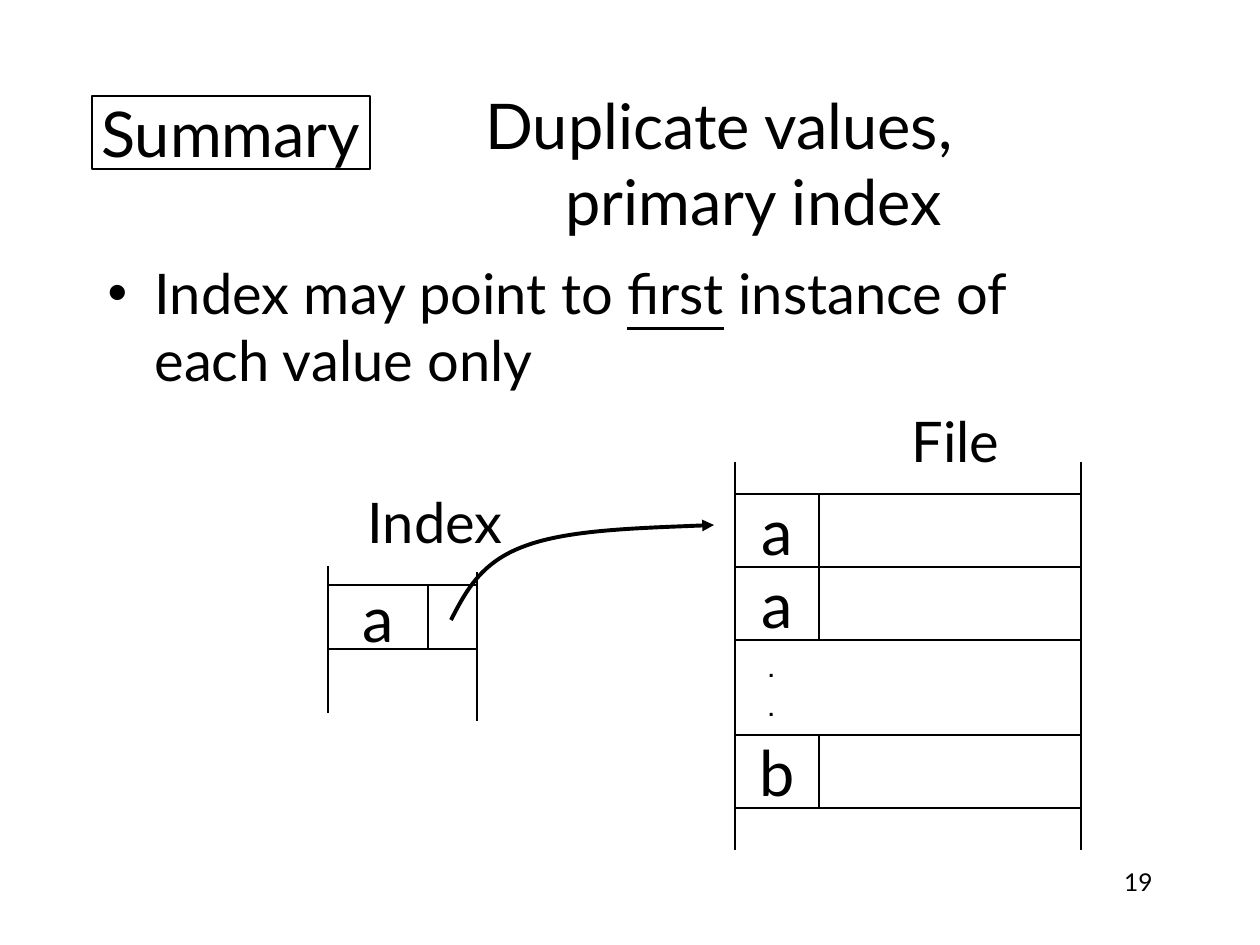
from lxml.etree import SubElement
from pptx import Presentation
from pptx.dml.color import RGBColor
from pptx.enum.shapes import MSO_CONNECTOR, MSO_SHAPE
from pptx.enum.text import MSO_ANCHOR, MSO_AUTO_SIZE, PP_ALIGN
from pptx.oxml.ns import qn
from pptx.util import Emu, Pt

SCALE = 914400 / 126


def px(length):
    return Emu(round(length * SCALE))


def color(value):
    return RGBColor.from_string(value)


class SlideBuilder:
    ink = "000000"
    paper = "FFFFFF"
    font = "Lato"
    thin = 0.75
    thick = 2.25

    def __init__(self, page):
        self.page = page

    def style(self, paragraph, size, font=None, bold=False):
        for span in paragraph.runs:
            span.font.name = font or self.font
            span.font.size = Pt(size)
            span.font.bold = bold
            span.font.color.rgb = color(self.ink)

    def outline(self, item, width):
        item.line.color.rgb = color(self.ink)
        item.line.width = Pt(width)

    def indent(self, paragraph, left, hanging=0, bullet=None):
        properties = paragraph._p.get_or_add_pPr()
        properties.set("marL", str(px(left)))
        properties.set("indent", str(-px(hanging)))
        if bullet:
            SubElement(properties, qn("a:buChar")).set("char", bullet)
        else:
            SubElement(properties, qn("a:buNone"))

    def place(self, holder, left, top, width, height, anchor):
        holder.left, holder.top = px(left), px(top)
        holder.width, holder.height = px(width), px(height)
        frame = holder.text_frame
        frame.auto_size = MSO_AUTO_SIZE.NONE
        frame.vertical_anchor = anchor
        return frame

    def title(self, lines, left, top, width, height):
        frame = self.place(self.page.shapes.title, left, top, width, height, MSO_ANCHOR.MIDDLE)
        frame.text = "\n".join(text for text, _ in lines)
        for paragraph, (_, start) in zip(frame.paragraphs, lines):
            self.indent(paragraph, start)
            paragraph.alignment = PP_ALIGN.LEFT
            paragraph.space_before = Pt(0)
            self.style(paragraph, 36)

    def body(self, statement, labels, left, top, width, height):
        frame = self.place(self.page.placeholders[1], left, top, width, height, MSO_ANCHOR.TOP)
        first = frame.paragraphs[0]
        self.indent(first, 47, 47, "•")
        first.space_before = Pt(0)
        for text, underlined in statement:
            if text == "\n":
                first.add_line_break()
                continue
            span = first.add_run()
            span.text = text
            span.font.underline = underlined
        self.style(first, 32)
        for text, start in labels:
            paragraph = frame.add_paragraph()
            paragraph.text = text
            self.indent(paragraph, start)
            paragraph.space_before = Pt(8)
            self.style(paragraph, 32)

    def text(self, text, left, top, width, height, size, align, font=None, bold=False, gap=0):
        box = self.page.shapes.add_textbox(px(left), px(top), px(width), px(height))
        frame = box.text_frame
        frame.text = text
        for number, paragraph in enumerate(frame.paragraphs):
            paragraph.alignment = align
            paragraph.space_before = Pt(gap if number else 0)
            self.style(paragraph, size, font, bold)
        return frame

    def cell(self, left, top, width, height, text=""):
        shape = self.page.shapes.add_shape(
            MSO_SHAPE.RECTANGLE, px(left), px(top), px(width), px(height))
        shape.shadow.inherit = False
        shape.fill.solid()
        shape.fill.fore_color.rgb = color(self.paper)
        self.outline(shape, self.thin)
        if text:
            frame = shape.text_frame
            frame.text = text
            frame.word_wrap = False
            frame.vertical_anchor = MSO_ANCHOR.MIDDLE
            frame.paragraphs[0].alignment = PP_ALIGN.CENTER
            self.style(frame.paragraphs[0], 36)

    def rail(self, x, top, bottom):
        line = self.page.shapes.add_connector(
            MSO_CONNECTOR.STRAIGHT, px(x), px(top), px(x), px(bottom))
        self.outline(line, self.thin)
        SubElement(line._element.spPr, qn("a:effectLst"))

    def curved_arrow(self, start, points):
        builder = self.page.shapes.build_freeform(*start, scale=SCALE)
        builder.add_line_segments(points, close=False)
        arrow = builder.convert_to_shape()
        arrow.shadow.inherit = False
        arrow.fill.background()
        self.outline(arrow, self.thick)
        SubElement(arrow.line._get_or_add_ln(), qn("a:tailEnd")).set("type", "triangle")
        outline = next(arrow._element.iter(qn("a:moveTo"))).getparent()
        segments = outline.findall(qn("a:lnTo"))
        for first in range(0, len(segments), 3):
            curve = SubElement(outline, qn("a:cubicBezTo"))
            for segment in segments[first:first + 3]:
                curve.append(segment[0])
                outline.remove(segment)


def main():
    deck = Presentation()
    deck.slide_width, deck.slide_height = px(1260), px(945)
    page = deck.slides.add_slide(deck.slide_layouts[1])
    slide = SlideBuilder(page)

    slide.text("19", 903, 861, 262, 63, 14, PP_ALIGN.RIGHT).word_wrap = True
    slide.title([("Duplicate values,", 378), ("primary index", 458)], 95, 84, 1071, 157)
    slide.body(
        [("Index may point to ", False), ("first", True), (" instance of", False),
         ("\n", False), ("each value only", False)],
        [("File", 804), ("Index", 260)], 95, 252, 1071, 567)
    slide.cell(92, 96, 278, 73, "Summary")

    index_left, index_split, index_right = 328, 428, 477
    slide.cell(index_left, 585, index_split - index_left, 64, "a")
    slide.cell(index_split, 585, index_right - index_split, 64)
    slide.rail(index_left, 566, 713)
    slide.rail(index_right, 572, 721)

    file_left, file_split, file_right = 735, 819, 1081
    for key, top in (("a", 494), ("a", 567), ("b", 735)):
        slide.cell(file_left, top, file_split - file_left, 73, key)
        slide.cell(file_split, top, file_right - file_split, 73)
    for x in (file_left, file_right):
        slide.rail(x, 462, 850)

    dots = slide.text(".\n.", 756, 650, 30, 77, 12, PP_ALIGN.CENTER, "Arial", True, 7.5)
    dots.word_wrap = False
    dots.vertical_anchor = MSO_ANCHOR.MIDDLE

    slide.curved_arrow((451, 620), [(466, 591), (481, 562), (525, 546),
                                    (568, 530), (641, 528), (714, 525)])
    deck.save("out.pptx")


if __name__ == "__main__":
    main()
